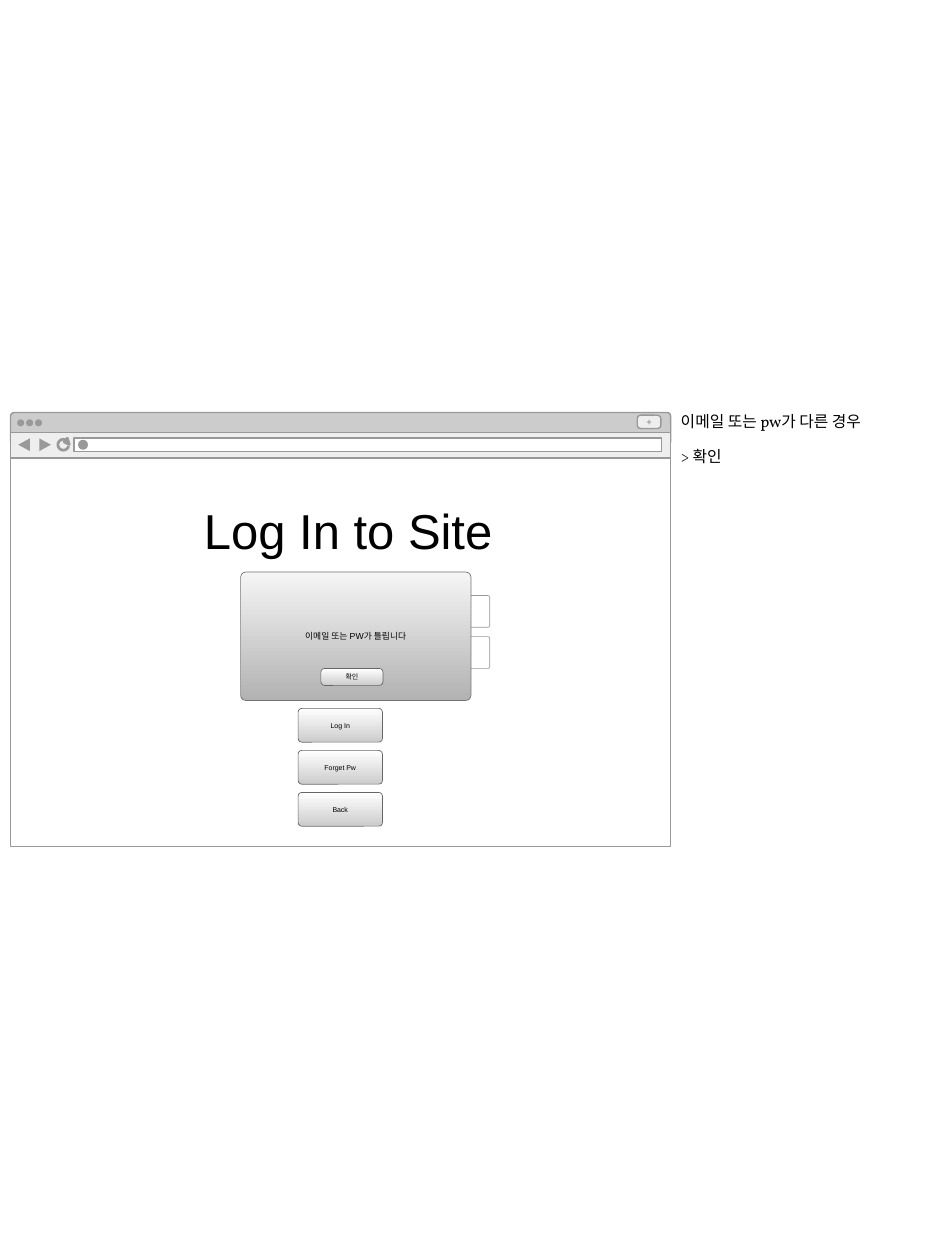
import math

import pptx
import pptx.dml.color
import pptx.enum.shapes
import pptx.enum.text
import pptx.util

Kind = pptx.enum.shapes.MSO_SHAPE
Align = pptx.enum.text.PP_ALIGN
Anchor = pptx.enum.text.MSO_ANCHOR

HEADING = "Log In to Site"
ACTIONS = ["Log In", "Forget Pw", "Back"]
WARNING = "이메일 또는 PW가 틀립니다"
CONFIRM = "확인"
NOTES = ["이메일 또는 pw가 다른 경우", "> 확인"]
NEW_TAB = "+"

GREY, BAR, PALE, WHITE, BLACK = "999999", "CCCCCC", "EEEEEE", "FFFFFF", "000000"
BUTTON_SHADE, DIALOG_SHADE = (WHITE, BAR), ("F5F5F5", "B2B2B2")
BUTTON_EDGE, DIALOG_EDGE = "666666", "737373"
THIN, MEDIUM, THICK = 0.4, 0.79, 1.56

WINDOW_LEFT, WINDOW_WIDTH = 6, 377.3
TITLE_TOP, TOOLBAR_TOP, PAGE_TOP, PAGE_BOTTOM = 235.7, 247, 261.7, 483.8
TOOLBAR_MIDDLE = (TOOLBAR_TOP + PAGE_TOP) / 2 - 0.2
BUTTON_LEFT, BUTTON_TOP, BUTTON_PITCH = 170.4, 404.8, 24
BUTTON_WIDTH, BUTTON_HEIGHT = 48.2, 19.3
FIELD_LEFT, FIELD_TOP, FIELD_PITCH = 194.6, 340.3, 23.5

deck = pptx.Presentation()
deck.slide_width = pptx.util.Pt(540)
deck.slide_height = pptx.util.Pt(720)
slide = deck.slides.add_slide(deck.slide_layouts[6])


def color(value):
    return pptx.dml.color.RGBColor.from_string(value)


def points(*lengths):
    return [pptx.util.Pt(length) for length in lengths]


def paint(shape, fill, edge, weight):
    shape.shadow.inherit = False
    if isinstance(fill, tuple):
        shape.fill.gradient()
        shape.fill.gradient_angle = 270
        for stop, shade, position in zip(shape.fill.gradient_stops, fill, (0, 1)):
            stop.color.rgb = color(shade)
            stop.position = position
    elif fill:
        shape.fill.solid()
        shape.fill.fore_color.rgb = color(fill)
    else:
        shape.fill.background()
    if edge:
        shape.line.color.rgb = color(edge)
        shape.line.width = pptx.util.Pt(weight)
    else:
        shape.line.fill.background()


def write(shape, lines, size, font="Arial", ink=BLACK, bold=False,
          align=Align.LEFT, anchor=Anchor.TOP, gap=0, wrap=True):
    frame = shape.text_frame
    frame.word_wrap = wrap
    frame.vertical_anchor = anchor
    frame.margin_left = frame.margin_right = frame.margin_top = frame.margin_bottom = 0
    for index, line in enumerate(lines):
        paragraph = frame.add_paragraph() if index else frame.paragraphs[0]
        paragraph.alignment = align
        paragraph.space_before = pptx.util.Pt(gap if index else 0)
        run = paragraph.add_run()
        run.text = line
        run.font.name, run.font.size, run.font.bold = font, pptx.util.Pt(size), bold
        run.font.color.rgb = color(ink)


def panel(left, top, width, height, fill, edge=None, weight=MEDIUM, radius=0,
          label=None, size=4, ink=BLACK, bold=False):
    kind = Kind.ROUNDED_RECTANGLE if radius else Kind.RECTANGLE
    shape = slide.shapes.add_shape(kind, *points(left, top, width, height))
    if radius:
        shape.adjustments[0] = radius / min(width, height)
    paint(shape, fill, edge, weight)
    if label:
        write(shape, [label], size, ink=ink, bold=bold,
              align=Align.CENTER, anchor=Anchor.MIDDLE)


def dot(left, middle, diameter):
    shape = slide.shapes.add_shape(
        Kind.OVAL, *points(left, middle - diameter / 2, diameter, diameter))
    paint(shape, GREY, None, 0)


def outline(corners, fill, edge=None, close=True):
    start, *rest = [points(*corner) for corner in corners]
    builder = slide.shapes.build_freeform(*start)
    builder.add_line_segments(rest, close=close)
    paint(builder.convert_to_shape(), fill, edge, THICK)


def button(left, top, width, height, label):
    panel(left, top, width, height, BUTTON_SHADE, BUTTON_EDGE, THIN, 2.1, label)


def text_box(left, top, width, height, lines, size, **style):
    write(slide.shapes.add_textbox(*points(left, top, width, height)), lines, size, **style)


panel(WINDOW_LEFT, TITLE_TOP, WINDOW_WIDTH, 18.5, BAR, GREY, radius=2.1)
panel(WINDOW_LEFT, PAGE_TOP, WINDOW_WIDTH, PAGE_BOTTOM - PAGE_TOP, WHITE, GREY)
panel(364.2, 237.3, 13.5, 7.6, PALE, GREY, radius=2, label=NEW_TAB, size=5, ink=GREY, bold=True)
for column in range(3):
    dot(9.8 + 5.1 * column, 241.6, 4)

panel(WINDOW_LEFT, TOOLBAR_TOP, WINDOW_WIDTH, PAGE_TOP - TOOLBAR_TOP, PALE, GREY)
for tip, base in ((10.4, 17), (29.1, 22.5)):
    outline([(tip, TOOLBAR_MIDDLE), (base, TOOLBAR_MIDDLE - 3.6),
             (base, TOOLBAR_MIDDLE + 3.6)], GREY)
panel(42.4, TOOLBAR_MIDDLE - 3.8, 335.8, 7.6, WHITE, GREY)
dot(44.6, TOOLBAR_MIDDLE, 5.7)
reload_arc = [math.radians(angle) for angle in range(15, 346, 15)]
outline([(36.2 + 3.1 * math.cos(angle), TOOLBAR_MIDDLE + 3.1 * math.sin(angle))
         for angle in reload_arc], None, GREY, close=False)
outline([(39.6, 254), (36.7, 252.5), (38.5, 250.4)], GREY, GREY)

text_box(116.6, 285.8, 172, 34, [HEADING], 28, wrap=False)
for row in range(2):
    panel(FIELD_LEFT, FIELD_TOP + FIELD_PITCH * row, 85.3, 18.2, WHITE, GREY, THIN, 1.2)
for row, action in enumerate(ACTIONS):
    button(BUTTON_LEFT, BUTTON_TOP + BUTTON_PITCH * row, BUTTON_WIDTH, BUTTON_HEIGHT, action)

panel(137.5, 326.9, 131.6, 73.4, DIALOG_SHADE, DIALOG_EDGE, THIN, 2.9, WARNING, 5)
button(183.4, 382, 35.5, 9.7, CONFIRM)
text_box(389, 235.4, 145, 32.4, NOTES, 9, font="Vollkorn", gap=9)

deck.save("out.pptx")
